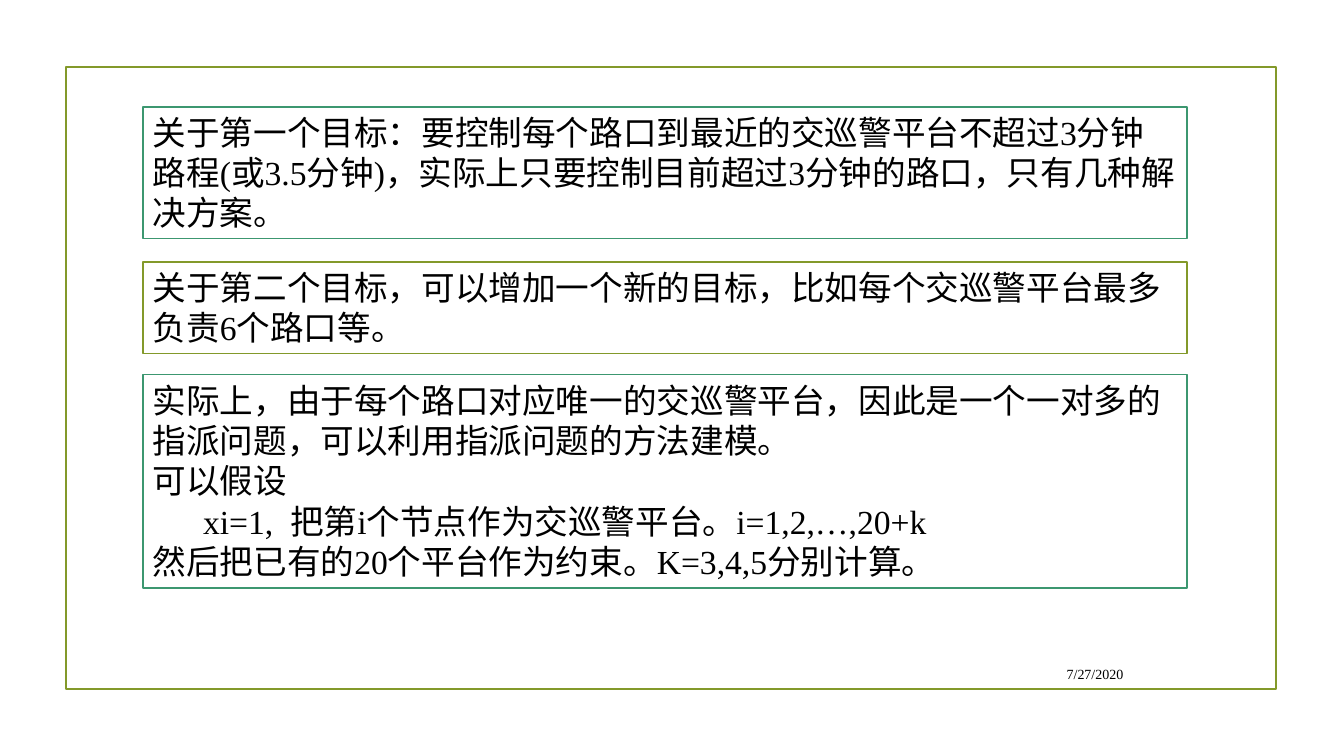
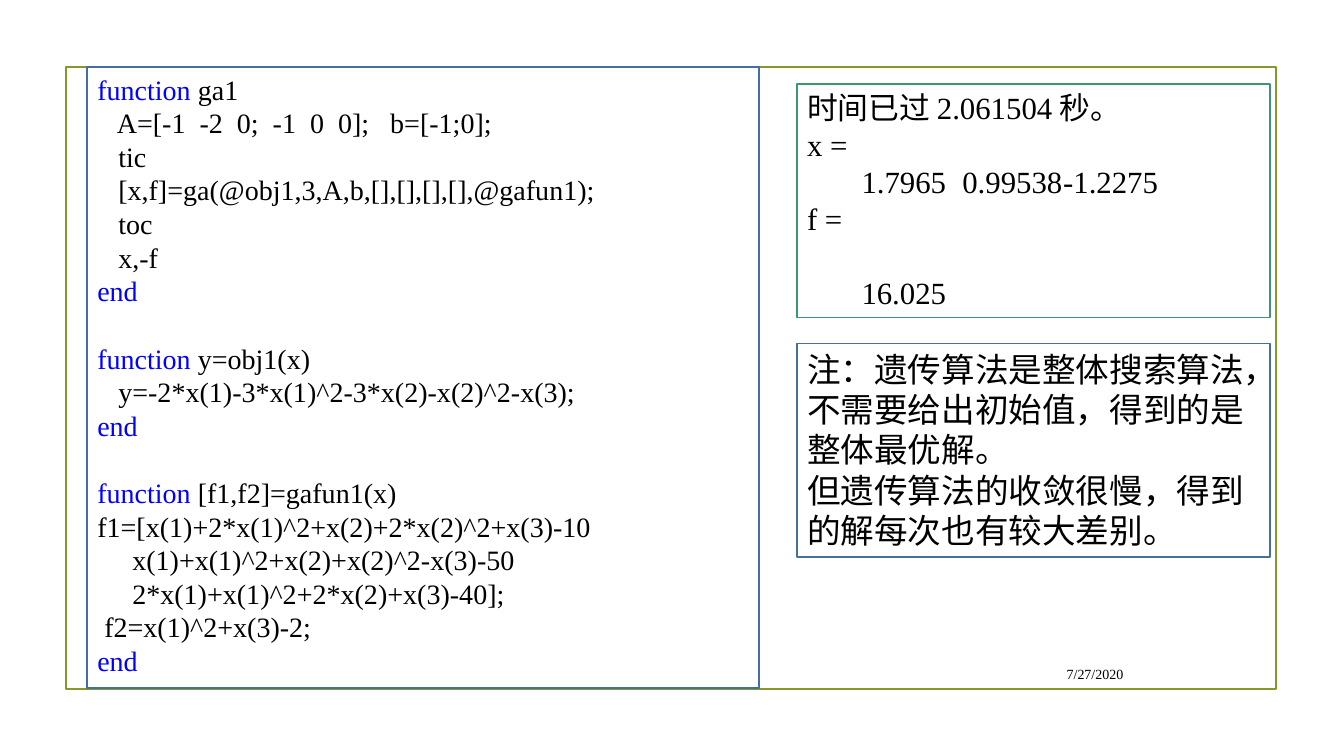
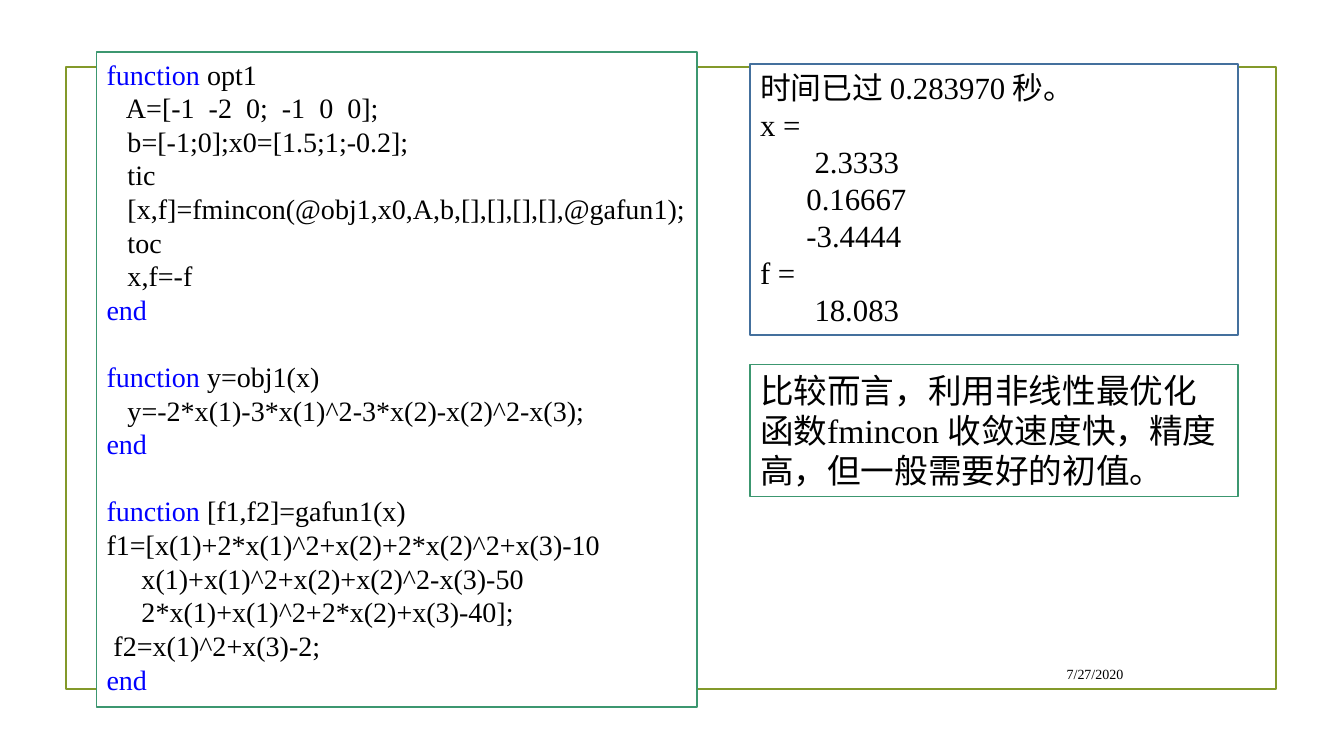
from dataclasses import dataclass

from lxml import etree
from pptx import Presentation
from pptx.dml.color import RGBColor
from pptx.enum import shapes, text
from pptx.oxml import ns
from pptx import util as u

BLACK = RGBColor(0, 0, 0)
WHITE = RGBColor(255, 255, 255)
BLUE = RGBColor(0, 0, 255)
OLIVE = RGBColor(0x83, 0x99, 0x2A)
GREEN = RGBColor(0x3C, 0x97, 0x70)
STEEL = RGBColor(0x44, 0x70, 0x9D)

FACE = "Times New Roman"
LEAD = 1.2
COLS, ROWS = 160, 90
WIDE, HIGH = u.Inches(13.33), u.Inches(7.5)
KEYS = ("function", "end")
DATE = "7/27/2020"


@dataclass(frozen=True)
class Area:
    col: float
    row: float
    cols: float
    rows: float

    def place(self) -> tuple[int, ...]:
        return tuple(
            round(part) for part in (
                self.col * WIDE / COLS, self.row * HIGH / ROWS,
                self.cols * WIDE / COLS, self.rows * HIGH / ROWS,
            )
        )


@dataclass(frozen=True)
class Line:
    words: str
    inset: float = 0
    skip: int = 0
    tabs: tuple[float, ...] = ()


@dataclass(frozen=True)
class Panel:
    area: Area
    edge: RGBColor
    size: int
    lines: tuple[Line, ...]


FRAME = Area(7.9, 8, 144, 74)
STAMP = Area(113.9, 78.4, 21, 3.7)


def prose(*words: str) -> tuple[Line, ...]:
    return tuple(Line(word) for word in words)


def code(body: str) -> tuple[Line, ...]:
    return tuple(
        Line(row, skip=int(num > 0 and row.startswith("function")))
        for num, row in enumerate(body.strip("\n").split("\n"))
    )


SHARED = """
function y=obj1(x)
   y=-2*x(1)-3*x(1)^2-3*x(2)-x(2)^2-x(3);
end
function [f1,f2]=gafun1(x)
f1=[x(1)+2*x(1)^2+x(2)+2*x(2)^2+x(3)-10
     x(1)+x(1)^2+x(2)+x(2)^2-x(3)-50
     2*x(1)+x(1)^2+2*x(2)+x(3)-40];
 f2=x(1)^2+x(3)-2;
end
"""

GENE = """
function ga1
   A=[-1  -2  0;  -1  0  0];   b=[-1;0];
   tic
   [x,f]=ga(@obj1,3,A,b,[],[],[],[],@gafun1);
   toc
   x,-f
end"""

SMOOTH = """
function opt1
   A=[-1  -2  0;  -1  0  0];
   b=[-1;0];x0=[1.5;1;-0.2];
   tic
   [x,f]=fmincon(@obj1,x0,A,b,[],[],[],[],@gafun1);
   toc
   x,f=-f
end"""

DECK = (
    (
        Panel(Area(17, 12.7, 124.3, 15.7), GREEN, 24, prose(
            "关于第一个目标：要控制每个路口到最近的交巡警平台不超过3分钟路程(或3.5分钟)，"
            "实际上只要控制目前超过3分钟的路口，只有几种解决方案。",
        )),
        Panel(Area(17, 31.2, 124.3, 10.9), OLIVE, 24, prose(
            "关于第二个目标，可以增加一个新的目标，比如每个交巡警平台最多负责6个路口等。",
        )),
        Panel(Area(17, 44.6, 124.3, 25.4), GREEN, 24, (
            *prose(
                "实际上，由于每个路口对应唯一的交巡警平台，因此是一个一对多的指派问题，"
                "可以利用指派问题的方法建模。",
                "可以假设",
            ),
            Line("xi=1,  把第i个节点作为交巡警平台。i=1,2,…,20+k", 0.5),
            Line("然后把已有的20个平台作为约束。K=3,4,5分别计算。"),
        )),
    ),
    (
        Panel(Area(10.4, 8, 80, 73.9), STEEL, 20, code(GENE + SHARED)),
        Panel(Area(94.9, 10, 56.3, 27.8), GREEN, 22, (
            *prose("时间已过 2.061504 秒。", "x ="),
            Line("1.7965\t0.99538\t-1.2275", 0.54, tabs=(1.83, 3.28)),
            Line("f ="),
            Line("16.025", 0.54, skip=1),
        )),
        Panel(Area(94.9, 40.9, 56.3, 25.4), STEEL, 24, prose(
            "注：遗传算法是整体搜索算法，不需要给出初始值，得到的是整体最优解。",
            "但遗传算法的收敛很慢，得到的解每次也有较大差别。",
        )),
    ),
    (
        Panel(Area(11.5, 6.2, 71.5, 78), GREEN, 20, code(SMOOTH + SHARED)),
        Panel(Area(89.3, 7.6, 58.1, 32.3), STEEL, 22, (
            *prose("时间已过 0.283970 秒。", "x ="),
            Line("2.3333", 0.54),
            Line("0.16667", 0.46),
            Line("-3.4444", 0.46),
            Line("f ="),
            Line("18.083", 0.54),
        )),
        Panel(Area(89.3, 43.4, 58.1, 15.7), GREEN, 24, prose(
            "比较而言，利用非线性最优化函数fmincon 收敛速度快，精度高，但一般需要好的初值。",
        )),
    ),
)


def apply(thing, style: dict) -> None:
    for name, value in style.items():
        setattr(thing, name, value)


def write(para, words: str, size: int, tint: RGBColor = BLACK) -> None:
    run = para.add_run()
    run.text = words
    apply(run.font, {"name": FACE, "size": u.Pt(size)})
    run.font.color.rgb = tint


def fill(para, line: Line, size: int) -> None:
    props = para._p.get_or_add_pPr()
    if line.inset:
        props.set("marL", str(u.Inches(line.inset)))
        props.set("indent", "0")
    if line.tabs:
        stops = etree.SubElement(props, ns.qn("a:tabLst"))
        for stop in line.tabs:
            etree.SubElement(stops, ns.qn("a:tab"),
                             pos=str(u.Inches(stop)), algn="l")
    pitch = size * LEAD
    style = {"alignment": text.PP_ALIGN.LEFT, "line_spacing": u.Pt(pitch)}
    if line.skip:
        style["space_before"] = u.Pt(pitch * line.skip)
    apply(para, style)
    head, gap, tail = line.words.partition(" ")
    if head in KEYS:
        write(para, head, size, BLUE)
        if tail:
            write(para, gap + tail, size)
    else:
        write(para, line.words, size)


def box(slide, area: Area, edge: RGBColor):
    shape = slide.shapes.add_shape(shapes.MSO_SHAPE.RECTANGLE, *area.place())
    shape.shadow.inherit = False
    shape.line.color.rgb = edge
    shape.line.width = u.Pt(1.25)
    return shape


def panel(slide, item: Panel) -> None:
    shape = box(slide, item.area, item.edge)
    shape.fill.solid()
    shape.fill.fore_color.rgb = WHITE
    frame = shape.text_frame
    apply(frame, {"word_wrap": True, "vertical_anchor": text.MSO_ANCHOR.TOP})
    for num, line in enumerate(item.lines):
        para = frame.add_paragraph() if num else frame.paragraphs[0]
        fill(para, line, item.size)


def stamp(slide) -> None:
    frame = slide.shapes.add_textbox(*STAMP.place()).text_frame
    apply(frame, {"word_wrap": True, "vertical_anchor": text.MSO_ANCHOR.MIDDLE})
    para = frame.paragraphs[0]
    para.alignment = text.PP_ALIGN.RIGHT
    write(para, DATE, 10)


def share(slide) -> None:
    layout = slide.slide_layout
    for holder in list(layout.placeholders):
        holder.element.getparent().remove(holder.element)
    frame = box(slide, FRAME, OLIVE)
    frame.fill.background()
    layout.shapes.element.append(frame.element)


def main() -> None:
    deck = Presentation()
    apply(deck, {"slide_width": WIDE, "slide_height": HIGH})
    blank = deck.slide_layouts[6]
    for num, panels in enumerate(DECK):
        slide = deck.slides.add_slide(blank)
        if num == 0:
            share(slide)
        stamp(slide)
        for item in panels:
            panel(slide, item)
    deck.save("out.pptx")


if __name__ == "__main__":
    main()
